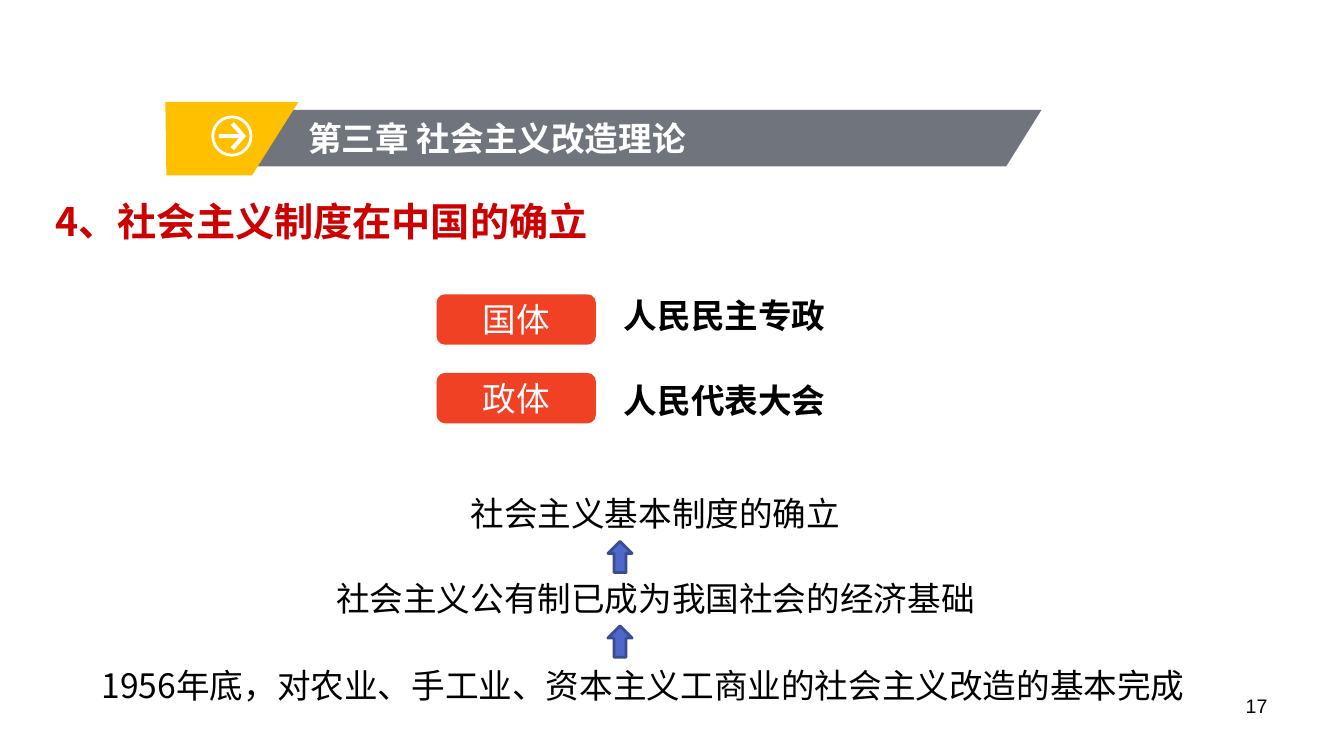
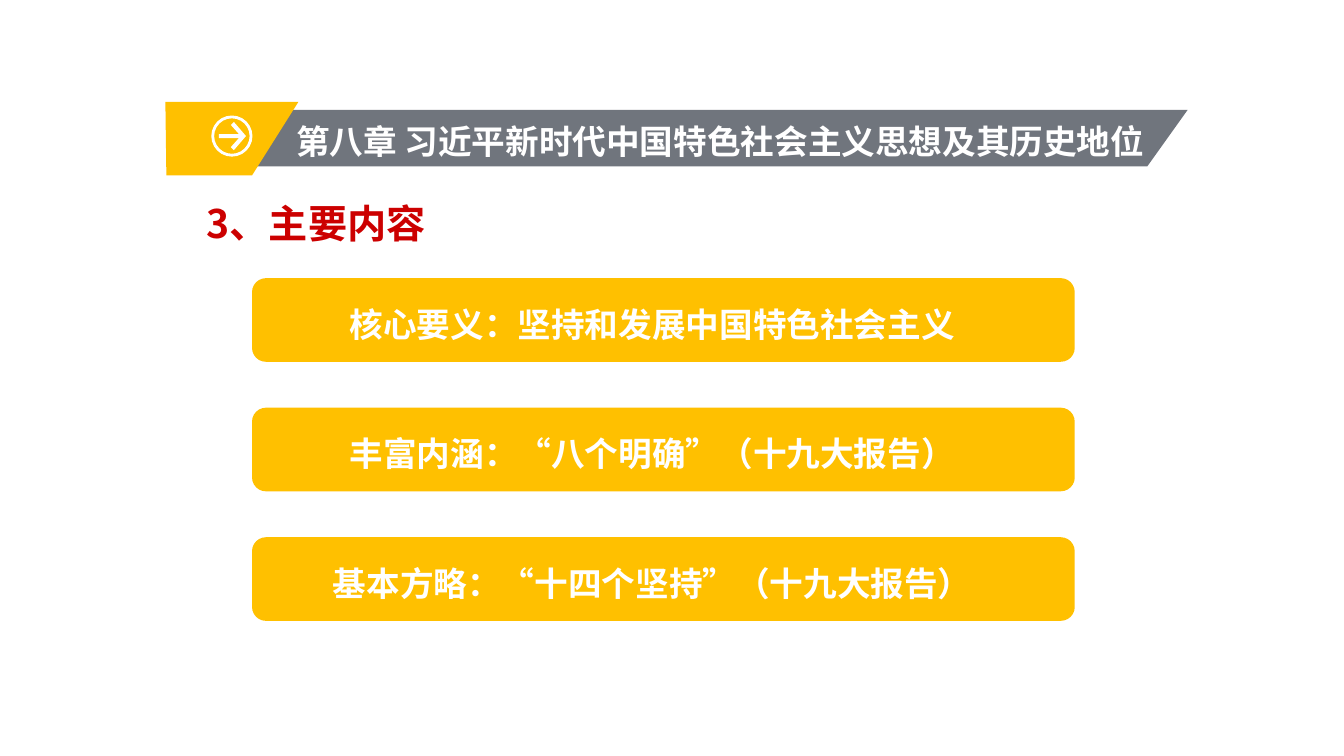
from dataclasses import dataclass

from lxml import etree
from pptx import Presentation
from pptx import util as u
from pptx.dml.color import RGBColor
from pptx.enum import shapes, text
from pptx.oxml import ns
from pptx.shapes.autoshape import Shape
from pptx.slide import Slide


@dataclass(frozen=True)
class Theme:
    white: str = "FFFFFF"
    black: str = "000000"
    gray: str = "70757D"
    gold: str = "FFC000"
    red: str = "CC0000"
    flame: str = "F14124"
    blue: str = "4E67C8"
    navy: str = "3A4C94"
    sans: str = "Noto Sans CJK SC"
    latin: str = "Arial"
    head: int = 28
    body: int = 24
    small: int = 14


@dataclass(frozen=True)
class Box:
    left: float
    top: float
    width: float
    height: float

    def place(self) -> tuple[u.Length, ...]:
        return tuple(u.Inches(n) for n in (self.left, self.top, self.width, self.height))


@dataclass(frozen=True)
class Style:
    color: str
    size: int
    bold: bool = False
    font: str = Theme.sans
    align: text.PP_ALIGN = text.PP_ALIGN.LEFT
    anchor: text.MSO_ANCHOR = text.MSO_ANCHOR.TOP


@dataclass(frozen=True)
class Banner:
    words: str
    box: Box
    right: float
    slant: float


@dataclass(frozen=True)
class Pair:
    label: str
    words: str


@dataclass(frozen=True)
class Step:
    words: str
    top: float
    align: text.PP_ALIGN


THEME = Theme()
MID = text.PP_ALIGN.CENTER
ROUND = shapes.MSO_SHAPE.FLOWCHART_ALTERNATE_PROCESS
HEAD = Style(THEME.red, THEME.head, True, anchor=text.MSO_ANCHOR.MIDDLE)
LABEL = Style(THEME.white, THEME.body, align=MID, anchor=text.MSO_ANCHOR.MIDDLE)
CARD = Style(THEME.white, THEME.body, True, THEME.latin, MID, text.MSO_ANCHOR.MIDDLE)
STRONG = Style(THEME.black, THEME.body, True)
CHAPTER = Style(THEME.white, THEME.body, True)
NUMBER = Style(THEME.black, THEME.small, font=THEME.latin, align=text.PP_ALIGN.RIGHT)

PAIRS = (Pair("国体", "人民民主专政"), Pair("政体", "人民代表大会"))
STEPS = (
    Step("社会主义基本制度的确立", 4.84, MID),
    Step("社会主义公有制已成为我国社会的经济基础", 5.68, MID),
    Step("1956年底，对农业、手工业、资本主义工商业的社会主义改造的基本完成", 6.55,
         text.PP_ALIGN.JUSTIFY),
)
CARDS = (
    "核心要义：坚持和发展中国特色社会主义",
    "丰富内涵：“八个明确”（十九大报告）",
    "基本方略：“十四个坚持”（十九大报告）",
)


def write(shape: Shape, words: str, style: Style) -> None:
    frame = shape.text_frame
    frame.text = words
    frame.word_wrap = True
    frame.auto_size = text.MSO_AUTO_SIZE.NONE
    frame.vertical_anchor = style.anchor
    line = frame.paragraphs[0]
    line.alignment = style.align
    for run in line.runs:
        font = run.font
        font.name = style.font
        font.size = u.Pt(style.size)
        font.bold = style.bold
        font.color.rgb = RGBColor.from_string(style.color)
        latin = font._element.find(ns.qn("a:latin"))
        asian = etree.Element(ns.qn("a:ea"), typeface=THEME.sans)
        latin.addnext(asian)


def paint(shape: Shape, color: str) -> None:
    shape.shadow.inherit = False
    shape.fill.solid()
    shape.fill.fore_color.rgb = RGBColor.from_string(color)
    shape.line.fill.background()


def label(slide: Slide, words: str, box: Box, style: Style) -> None:
    write(slide.shapes.add_textbox(*box.place()), words, style)


def block(slide: Slide, kind: shapes.MSO_SHAPE, box: Box, color: str) -> Shape:
    shape = slide.shapes.add_shape(kind, *box.place())
    paint(shape, color)
    return shape


def trace(slide: Slide, points: list[tuple[float, float]], color: str) -> None:
    first, *rest = [(u.Inches(x), u.Inches(y)) for x, y in points]
    pen = slide.shapes.build_freeform(*first)
    pen.add_line_segments(rest, close=True)
    paint(pen.convert_to_shape(), color)


def icon(slide: Slide) -> None:
    ring = slide.shapes.add_shape(shapes.MSO_SHAPE.OVAL, *Box(2.11, 1.16, 0.38, 0.38).place())
    ring.shadow.inherit = False
    ring.fill.background()
    ring.line.color.rgb = RGBColor.from_string(THEME.white)
    ring.line.width = u.Pt(2)
    upper = [(2.17, 1.33), (2.37, 1.33), (2.29, 1.24), (2.32, 1.21)]
    lower = [(x, 2.7 - y) for x, y in reversed(upper)]
    trace(slide, upper + [(2.44, 1.35)] + lower, THEME.white)


def start(deck: Presentation, banner: Banner, title: str, box: Box) -> Slide:
    slide = deck.slides.add_slide(deck.slide_layouts[5])
    top, base = 1.09, 1.65
    trace(slide, [(1.72, top), (banner.right, top), (banner.right - banner.slant, base),
                  (1.72, base)], THEME.gray)
    trace(slide, [(1.64, 1.01), (2.96, 1.01), (2.5, 1.74), (1.65, 1.74)], THEME.gold)
    label(slide, banner.words, banner.box, CHAPTER)
    icon(slide)
    head = slide.shapes.title
    head.left, head.top, head.width, head.height = box.place()
    write(head, title, HEAD)
    head.text_frame.paragraphs[0].line_spacing = 1.5
    return slide


def system(deck: Presentation) -> None:
    banner = Banner("第三章 社会主义改造理论", Box(2.96, 1.12, 4.08, 0.5), 10.33, 0.35)
    slide = start(deck, banner, "4、社会主义制度在中国的确立", Box(0.45, 1.82, 7.9, 0.51))
    for row, pair in enumerate(PAIRS):
        pill = block(slide, ROUND, Box(4.33, 2.92 + 0.78 * row, 1.58, 0.5), THEME.flame)
        write(pill, pair.label, LABEL)
        label(slide, pair.words, Box(6.09, 2.88 + 0.84 * row, 2.46, 0.5), STRONG)
    for step in STEPS:
        style = Style(THEME.black, THEME.body, align=step.align)
        label(slide, step.words, Box(0.91, step.top, 11.18, 0.5), style)
    for row in range(len(STEPS) - 1):
        arrow = block(slide, shapes.MSO_SHAPE.UP_ARROW,
                      Box(6.03, 5.37 + 0.84 * row, 0.24, 0.31), THEME.blue)
        arrow.line.color.rgb = RGBColor.from_string(THEME.navy)
        arrow.line.width = u.Pt(2)
    label(slide, "17", Box(9.56, 6.83, 3.11, 0.52), NUMBER)


def content(deck: Presentation) -> None:
    banner = Banner("第八章 习近平新时代中国特色社会主义思想及其历史地位",
                    Box(2.84, 1.15, 8.9, 0.5), 11.78, 0.4)
    slide = start(deck, banner, "3、主要内容", Box(1.95, 1.84, 8.99, 0.51))
    first, last = 2.76, 5.33
    pitch = (last - first) / (len(CARDS) - 1)
    for row, words in enumerate(CARDS):
        card = block(slide, ROUND, Box(2.5, first + pitch * row, 8.16, 0.83), THEME.gold)
        write(card, words, CARD)
        card.text_frame.margin_right = u.Inches(0.32)
        card.text_frame.margin_top = u.Inches(0.12)


def main() -> None:
    deck = Presentation()
    deck.slide_width = u.Inches(13.33)
    deck.slide_height = u.Inches(7.5)
    system(deck)
    content(deck)
    deck.save("out.pptx")


if __name__ == "__main__":
    main()
